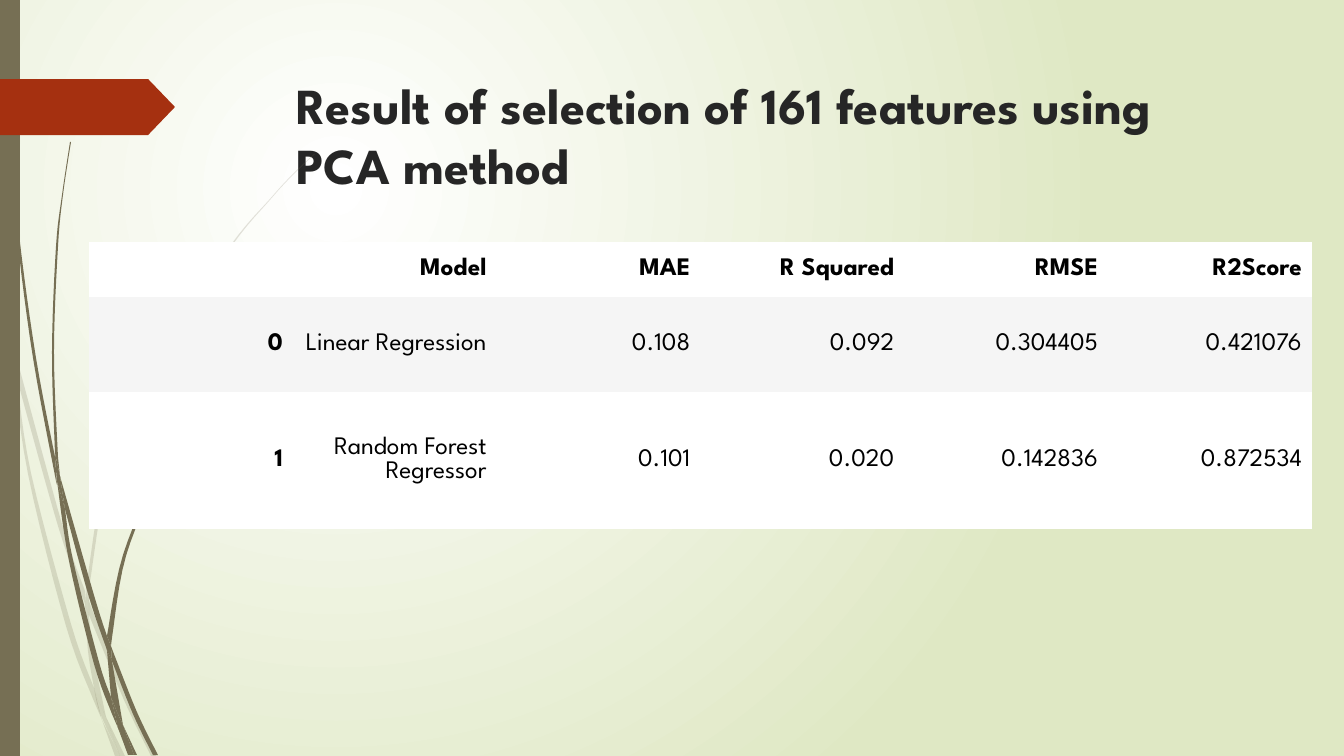
from lxml import etree
from pptx import Presentation
from pptx.dml.color import RGBColor
from pptx.enum import shapes, text
from pptx.oxml.ns import qn

PX = 914400 / 100.8
FONT = "League Spartan"
OLIVE = "766F54"
NO_GRID_STYLE = "{2D5ABB26-0587-4C30-8999-92F81FD0307C}"

# Each blade is a list of smooth edges that meet at corners.
PALE_BLADES = [
    [[(0, 301), (10, 347)], [(11, 353), (9, 325), (0, 284)]],
    [[(14, 348), (17, 379)], [(17, 379), (58, 526), (85, 604)],
     [(85, 591), (62, 524), (14, 348)]],
    [[(89, 615), (124, 700), (151, 756)], [(156, 756), (128, 698), (93, 612)], [(89, 601)]],
    [[(106, 717), (120, 756)], [(125, 756)]],
    [[(11, 353), (28, 474), (66, 626), (93, 699)], [(102, 720)],
     [(94, 688), (71, 624), (31, 473), (17, 379)]],
    [[(85, 604), (88, 651), (94, 688)], [(97, 698), (106, 717)], [(92, 651), (89, 615)]],
    [[(314, 154), (291, 176), (270, 199), (230, 246), (159, 351), (108, 465), (86, 589)],
     [(89, 601)],
     [(89, 589), (111, 466), (161, 352), (231, 247), (270, 200), (292, 176), (315, 154)]],
    [[(102, 720), (115, 756)], [(120, 756)]],
    [[(86, 591), (85, 604)], [(89, 615), (89, 601)]],
    [[(94, 688), (100, 713), (120, 756)], [(106, 717), (97, 698)]],
]
DARK_BLADES = [
    [[(3, 0), (4, 48), (7, 111)], [(7, 111), (17, 235), (33, 358), (56, 481)],
     [(57, 485), (55, 457)], [(55, 457), (36, 358), (19, 234), (8, 110)],
     [(8, 110), (5, 48), (4, 0)]],
    [[(60, 476), (65, 509)], [(65, 509), (89, 597), (107, 650)], [(107, 636), (94, 595), (60, 476)]],
    [[(111, 646), (112, 661)], [(112, 661), (133, 714), (153, 755)],
     [(158, 755), (137, 712), (114, 654)]],
    [[(57, 481), (69, 561), (94, 664), (112, 714)], [(118, 728), (111, 697)],
     [(111, 697), (99, 662), (73, 560), (65, 509)]],
    [[(70, 142), (62, 195), (56, 247), (52, 352), (55, 453)],
     [(60, 476), (58, 457)], [(58, 457), (54, 352), (58, 247), (63, 195), (71, 142)]],
    [[(123, 725), (134, 755)], [(137, 755)]],
    [[(55, 453), (55, 457)], [(57, 481), (65, 509)], [(60, 476)]],
    [[(262, 347), (233, 376), (206, 408), (157, 478), (123, 555), (107, 636)],
     [(111, 646)], [(112, 638), (126, 556), (159, 480), (207, 409), (233, 377), (263, 347)]],
    [[(118, 728), (128, 755)], [(132, 755)]],
    [[(107, 650), (111, 697)], [(117, 712), (123, 725)], [(112, 661), (107, 650)]],
    [[(107, 650), (112, 661)], [(111, 646), (107, 636)]],
    [[(111, 697), (118, 728)], [(131, 755), (134, 755)], [(123, 725), (117, 712)]],
]
RESULTS = [
    ["", "Model", "MAE", "R Squared", "RMSE", "R2Score"],
    ["0", "Linear Regression", "0.108", "0.092", "0.304405", "0.421076"],
    ["1", "Random Forest Regressor", "0.101", "0.020", "0.142836", "0.872534"],
]


def emu(*lengths):
    return [round(length * PX) for length in lengths]


def rgb(code):
    return RGBColor.from_string(code)


def paint(shape, code, opacity=100):
    shape.shadow.inherit = False
    shape.line.fill.background()
    shape.fill.solid()
    shape.fill.fore_color.rgb = rgb(code)
    if opacity < 100:
        color = shape.fill._xPr.find(".//" + qn("a:srgbClr"))
        etree.SubElement(color, qn("a:alpha"), val=str(opacity * 1000))


def style(para, size, code, bold):
    para.font.name = FONT
    para.font.size = size * 12700
    para.font.bold = bold
    para.font.color.rgb = rgb(code)


def smooth(edge, steps=6):
    """Return points on a Catmull-Rom curve through the edge."""
    ends = [edge[0], *edge, edge[-1]]
    curve = []
    for a, b, c, d in zip(ends, ends[1:], ends[2:], ends[3:]):
        for step in range(steps):
            t = step / steps
            curve.append(tuple(
                q + t * (r - p + t * (2 * p - 5 * q + 4 * r - s + t * (3 * (q - r) + s - p))) / 2
                for p, q, r, s in zip(a, b, c, d)))
    return curve + [edge[-1]]


def draw_blades(page, blades, opacity):
    for edges in blades:
        first, *rest = [emu(*point) for edge in edges for point in smooth(edge)]
        outline = page.shapes.build_freeform(*first, scale=1.0)
        outline.add_line_segments(rest, close=True)
        paint(outline.convert_to_shape(), OLIVE, opacity)


def draw_background(page):
    """Fill the page with a radial gradient centred in its upper left quarter."""
    fill = page.background.fill
    fill.gradient()
    for stop, code in zip(fill.gradient_stops, ("FFFFFF", "DFE8C4")):
        stop.color.rgb = rgb(code)
    gradient = page._element.find(".//" + qn("a:gradFill"))
    gradient.remove(gradient.find(qn("a:lin")))
    circle = etree.SubElement(gradient, qn("a:path"), path="circle")
    etree.SubElement(circle, qn("a:fillToRect"), l="50000", t="50000", r="100000", b="100000")


def draw_decoration(page, height):
    draw_blades(page, PALE_BLADES, 20)
    draw_blades(page, DARK_BLADES, 100)
    bar = page.shapes.add_shape(shapes.MSO_SHAPE.RECTANGLE, *emu(0, 0, 20, height))
    paint(bar, OLIVE)
    marker = page.shapes.add_shape(shapes.MSO_SHAPE.PENTAGON, *emu(0, 79, 175, 56))
    marker.adjustments[0] = 0.48
    paint(marker, "A53010")


def place_title(page, left, top, width, height):
    title = page.shapes.title
    title.left, title.top, title.width, title.height = emu(left, top, width, height)
    frame = title.text_frame
    frame.text = "Result of selection of 161 features using PCA method"
    frame.word_wrap = True
    frame.auto_size = text.MSO_AUTO_SIZE.NONE
    frame.vertical_anchor = text.MSO_ANCHOR.TOP
    frame.margin_right = emu(20)[0]
    para = frame.paragraphs[0]
    para.alignment = text.PP_ALIGN.LEFT
    style(para, 36, "262626", True)


def place_results(page, left, top, width, row_heights):
    box = emu(left, top, width, sum(row_heights))
    frame = page.shapes.add_table(len(RESULTS), len(RESULTS[0]), *box)
    table = frame.table
    table._tbl.tblPr.find(qn("a:tableStyleId")).text = NO_GRID_STYLE
    table.horz_banding = False
    for row, height in zip(table.rows, row_heights):
        row.height = emu(height)[0]
    for r, values in enumerate(RESULTS):
        for c, value in enumerate(values):
            cell = table.cell(r, c)
            cell.fill.solid()
            cell.fill.fore_color.rgb = rgb("F5F5F5" if r % 2 else "FFFFFF")
            cell.vertical_anchor = text.MSO_ANCHOR.MIDDLE
            cell.text = value
            para = cell.text_frame.paragraphs[0]
            para.alignment = text.PP_ALIGN.RIGHT
            style(para, 18, "000000", r == 0 or c == 0)


def main():
    deck = Presentation()
    deck.slide_width, deck.slide_height = emu(1344, 756)
    page = deck.slides.add_slide(deck.slide_layouts.get_by_name("Title Only"))
    draw_background(page)
    draw_decoration(page, 756)
    place_title(page, 286, 69, 983, 141)
    place_results(page, 89, 242, 1223, [55, 95, 137])
    deck.save("out.pptx")


if __name__ == "__main__":
    main()
